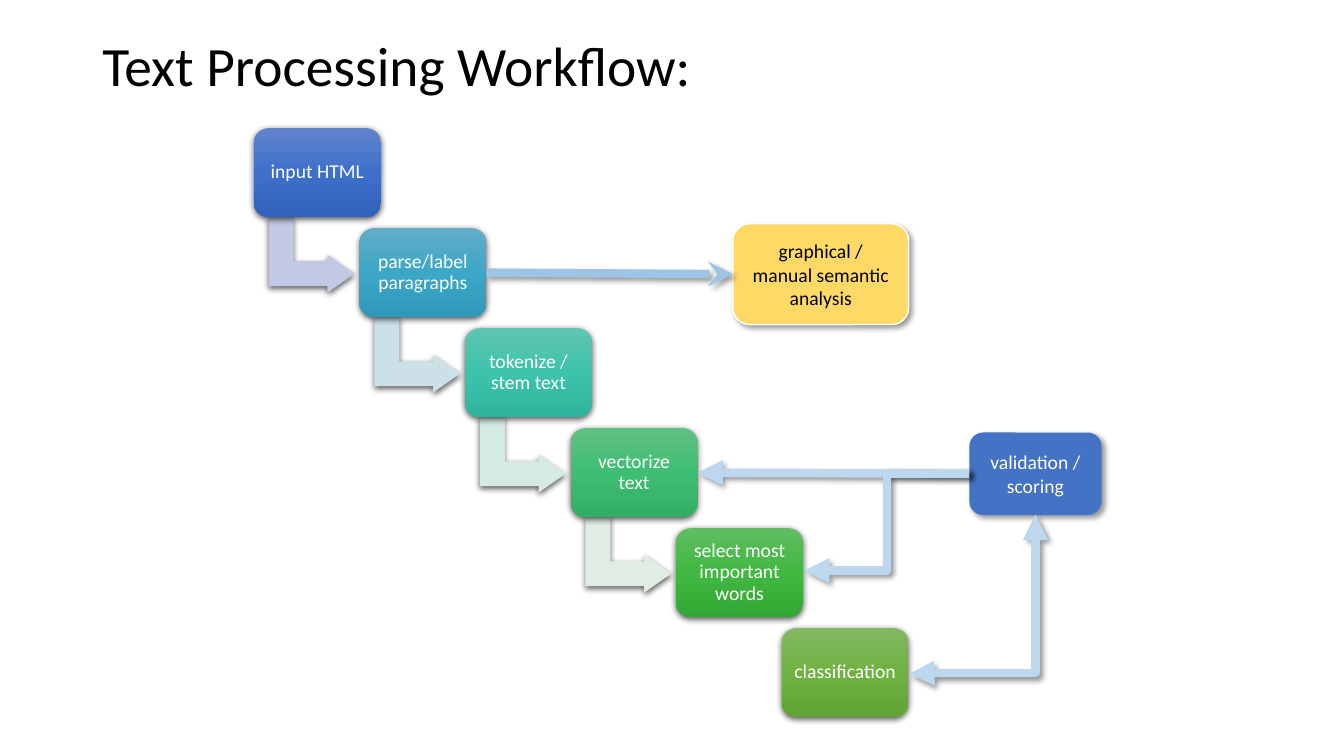
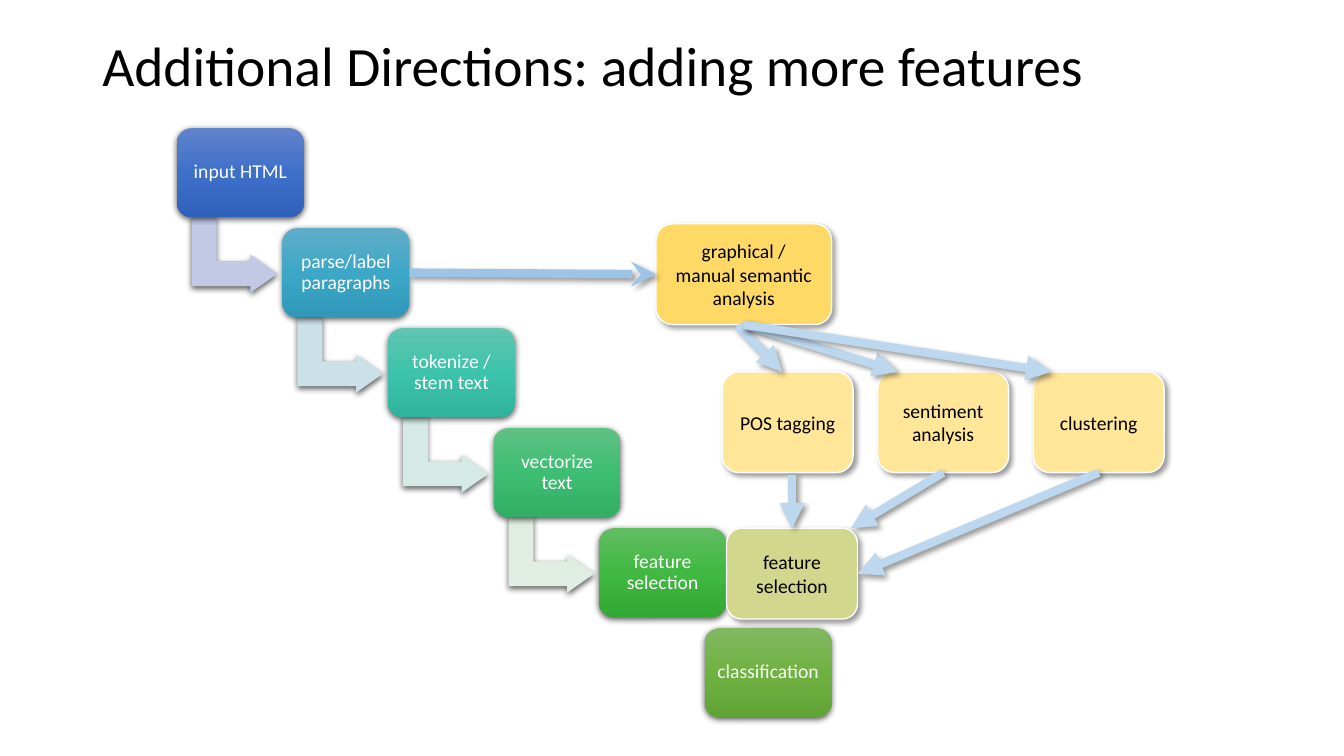
from copy import deepcopy

from lxml.etree import SubElement
from pptx import Presentation
from pptx.dml.color import RGBColor
from pptx.enum.shapes import MSO_CONNECTOR as CONN, MSO_SHAPE as SHAPE
from pptx.enum.text import MSO_ANCHOR, PP_ALIGN
from pptx.oxml.ns import qn
from pptx.util import Cm, Pt

rgb = RGBColor.from_string
FONT, BLACK, WHITE = "Calibri", "000000", "FFFFFF"
PALE_BLUE, MID_BLUE = "BDD7EE", "9DC3E6"
GOLD, CREAM, OLIVE, BLUE = "FFD966", "FFE699", "D1D88E", "4472C4"

# Staircase geometry in cm, and per step: gradient, colour of the arrow below
STEP_W, STEP_H, STEP_DX, STEP_DY, STEP_TOP = 3.2, 2.24, 2.66, 2.52, 3.23
STEP_COLOURS = [
    (("6183CB", "3E70CA", "3062BB"), "C1C9E4"),
    (("61ADC8", "3DA7C7", "3098B8"), "CBE0E7"),
    (("60C5B1", "3DC3AB", "30B39C"), "D6EAE5"),
    (("60C184", "3EBE73", "32AE65"), "E0EDE3"),
    (("61BD61", "40B841", "34A835"), None),
    (("81B861", "6FB242", "62A336"), None),
]
STEP_SHADOW = (63, 4.5, 1.5, 90)
SOFT_SHADOW = (40, 4, 3, 45)

# Side boxes: key, text, left, top, width, height, fill, outline, text colour.
# Arrows: kind, from, to; an end is (box key, side) or a point in cm.
LEFT, BOTTOM, RIGHT, TOP = 1, 2, 3, 0
SLIDES = [
    dict(
        title="Text Processing Workflow:", left=6.4,
        fifth="select most important words",
        boxes=[("validation", "validation / scoring",
                24.43, 10.9, 3.33, 2.08, BLUE, None, WHITE)],
        arrows=[
            (CONN.STRAIGHT, ("validation", LEFT), ("step 4", RIGHT)),
            (CONN.ELBOW, (24.43, 11.94), (20.27, 14.38)),
        ],
    ),
    dict(
        title="Additional Directions: adding more features", left=4.46,
        fifth="feature selection",
        boxes=[(t, t, 18.2 + 3.92 * i, 9.37, 3.3, 2.54, CREAM, WHITE, BLACK)
               for i, t in enumerate(["POS tagging", "sentiment analysis", "clustering"])]
        + [("selection", "feature selection",
            18.31, 13.31, 3.3, 2.29, OLIVE, WHITE, BLACK)],
        arrows=[
            (CONN.STRAIGHT, (18.59, 8.2), (19.71, 9.37)),
            (CONN.STRAIGHT, ("graphical", BOTTOM), (22.63, 9.37)),
            (CONN.STRAIGHT, ("graphical", BOTTOM), (26.49, 9.37)),
            (CONN.STRAIGHT, (19.96, 11.96), ("selection", TOP)),
            (CONN.STRAIGHT, ("sentiment analysis", BOTTOM), (21.44, 13.31)),
            (CONN.STRAIGHT, ("clustering", BOTTOM), ("selection", RIGHT)),
        ],
    ),
]


def add_shadow(sp, alpha, blur, dist, angle):
    """Give a shape or connector an outer shadow; call after its line is set."""
    effects = SubElement(sp._element.spPr, qn("a:effectLst"))
    outer = SubElement(effects, qn("a:outerShdw"), blurRad=str(Pt(blur)),
                       dist=str(Pt(dist)), dir=str(angle * 60000),
                       algn="ctr", rotWithShape="0")
    clr = SubElement(outer, qn("a:srgbClr"), val=BLACK)
    SubElement(clr, qn("a:alpha"), val=str(alpha * 1000))


def add_box(s, text, x, y, w, h, fill, outline, colour, shadow):
    """Rounded box; fill is one colour or three gradient colours."""
    sp = s.shapes.add_shape(SHAPE.ROUNDED_RECTANGLE, Cm(x), Cm(y), Cm(w), Cm(h))
    if isinstance(fill, str):
        sp.fill.solid()
        sp.fill.fore_color.rgb = rgb(fill)
    else:
        sp.fill.gradient()
        sp.fill.gradient_angle = 270
        stops = next(sp._element.spPr.iter(qn("a:gsLst")))
        stops.append(deepcopy(stops[0]))
        for stop, hue, pos in zip(sp.fill.gradient_stops, fill, (0, 0.5, 1)):
            stop.color.rgb, stop.position = rgb(hue), pos
    if outline:
        sp.line.color.rgb = rgb(outline)
        sp.line.width = Pt(1)
    else:
        sp.line.fill.background()
    add_shadow(sp, *shadow)
    tf = sp.text_frame
    tf.word_wrap, tf.vertical_anchor = True, MSO_ANCHOR.MIDDLE
    p = tf.paragraphs[0]
    p.text, p.alignment = text, PP_ALIGN.CENTER
    p.font.name, p.font.size = FONT, Pt(14)
    p.font.color.rgb = rgb(colour)
    return sp


prs = Presentation()
prs.slide_width, prs.slide_height = Cm(33.87), Cm(19.05)

for page in SLIDES:
    s = prs.slides.add_slide(prs.slide_layouts[6])
    boxes = {}

    # Title
    tf = s.shapes.add_textbox(Cm(2.33), Cm(1.01), Cm(29.21), Cm(1.45)).text_frame
    tf.word_wrap, tf.vertical_anchor = True, MSO_ANCHOR.MIDDLE
    p = tf.paragraphs[0]
    p.text, p.line_spacing = page["title"], 0.9
    p.font.name, p.font.size = FONT, Pt(39.6)
    p.font.color.rgb = rgb(BLACK)

    # Staircase of steps with bent arrows
    labels = ["input HTML", "parse/label paragraphs", "tokenize / stem text",
              "vectorize text", page["fifth"], "classification"]
    for i, (label, (gradient, bend)) in enumerate(zip(labels, STEP_COLOURS)):
        x, y = page["left"] + i * STEP_DX, STEP_TOP + i * STEP_DY
        if bend:
            sp = s.shapes.add_shape(SHAPE.BENT_UP_ARROW, Cm(x + 0.5), Cm(y + 2.11),
                                    Cm(1.91), Cm(2.16))
            sp.rotation = 90
            for k, value in enumerate((0.328, 0.25, 0.358)):
                sp.adjustments[k] = value
            sp.fill.solid()
            sp.fill.fore_color.rgb = rgb(bend)
            sp.line.fill.background()
            add_shadow(sp, *STEP_SHADOW)
        sp = add_box(s, label, x, y, STEP_W, STEP_H, gradient, None, WHITE, STEP_SHADOW)
        tf = sp.text_frame
        tf.margin_left = tf.margin_right = tf.margin_top = tf.margin_bottom = Cm(0.15)
        tf.paragraphs[0].line_spacing = 0.9
        boxes[f"step {i + 1}"] = sp

    # Side boxes
    graphical = ("graphical", "graphical / manual semantic analysis",
                 page["left"] + 12.07, 5.64, 4.43, 2.54, GOLD, WHITE, BLACK)
    for key, *look in [graphical] + page["boxes"]:
        boxes[key] = add_box(s, *look, SOFT_SHADOW)

    # Arrows
    analysis = (CONN.STRAIGHT, ("step 2", RIGHT), ("graphical", LEFT))
    for arrow in [analysis] + page["arrows"]:
        kind, *ends = arrow
        points = [(0, 0) if isinstance(e[0], str) else e for e in ends]
        c = s.shapes.add_connector(kind, *[Cm(v) for pt in points for v in pt])
        for end, connect in zip(ends, (c.begin_connect, c.end_connect)):
            if isinstance(end[0], str):
                connect(boxes[end[0]], end[1])
        c.line.color.rgb = rgb(MID_BLUE if arrow is analysis else PALE_BLUE)
        c.line.width = Pt(6)
        SubElement(c._element.spPr.find(qn("a:ln")), qn("a:tailEnd"),
                   type="stealth" if arrow is analysis else "triangle")
        add_shadow(c, *SOFT_SHADOW)

    # Two-headed corner arrow between classification and validation
    if "validation" in boxes:
        c = s.shapes.add_connector(CONN.ELBOW, Cm(22.92), Cm(17), Cm(26.1), Cm(12.98))
        c.end_connect(boxes["validation"], BOTTOM)
        c.left, c.top, c.width, c.height = Cm(22.5), Cm(13.39), Cm(4.01), Cm(3.18)
        spPr = c._element.spPr
        xfrm = spPr.find(qn("a:xfrm"))
        for name, value in (("rot", "5400000"), ("flipH", "1"), ("flipV", "1")):
            xfrm.set(name, value)
        SubElement(next(spPr.iter(qn("a:avLst"))), qn("a:gd"), name="adj1", fmla="val 500")
        c.line.color.rgb = rgb(PALE_BLUE)
        c.line.width = Pt(6)
        for tag in ("a:headEnd", "a:tailEnd"):
            SubElement(spPr.find(qn("a:ln")), qn(tag), type="triangle")
        add_shadow(c, *SOFT_SHADOW)

prs.save("out.pptx")
